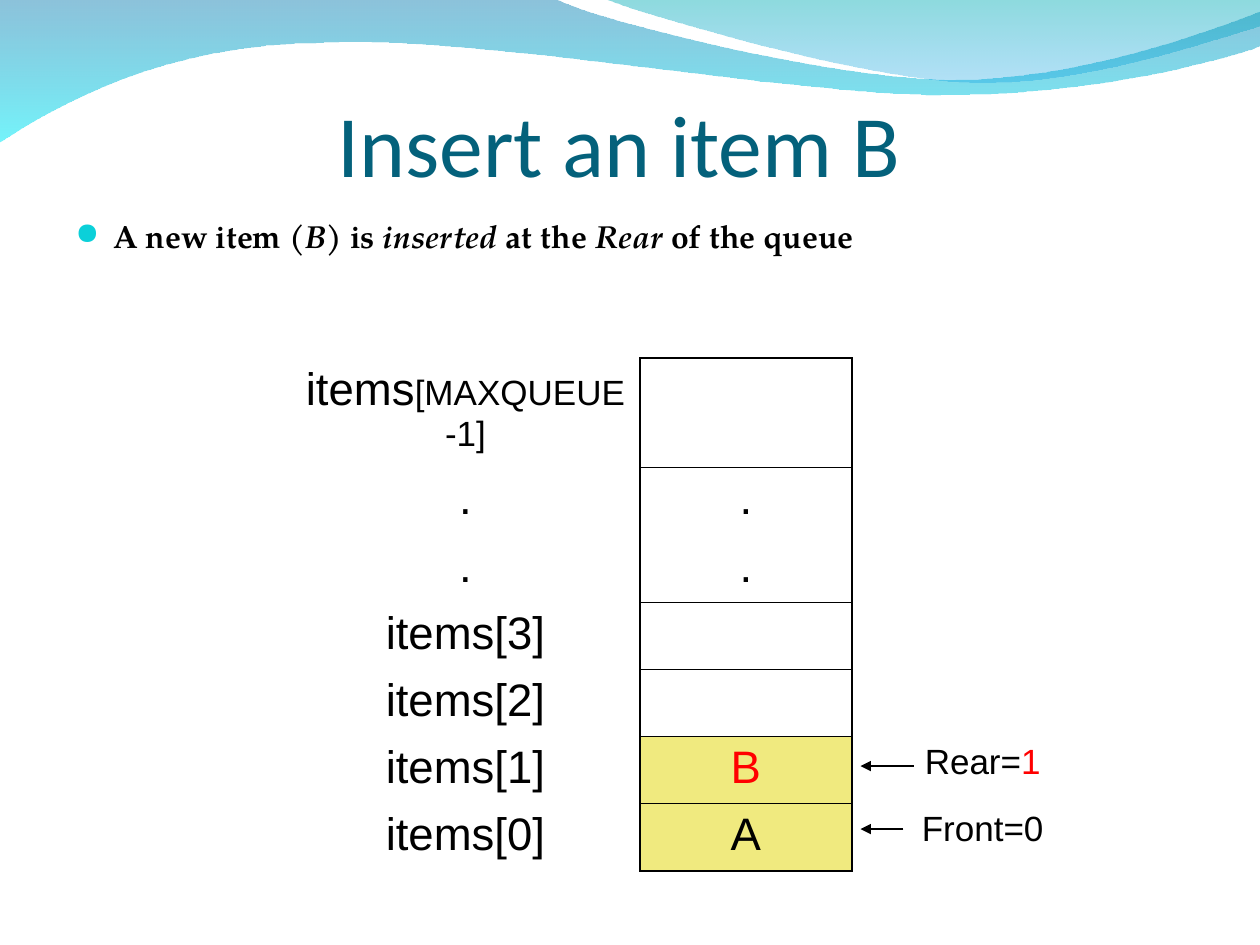
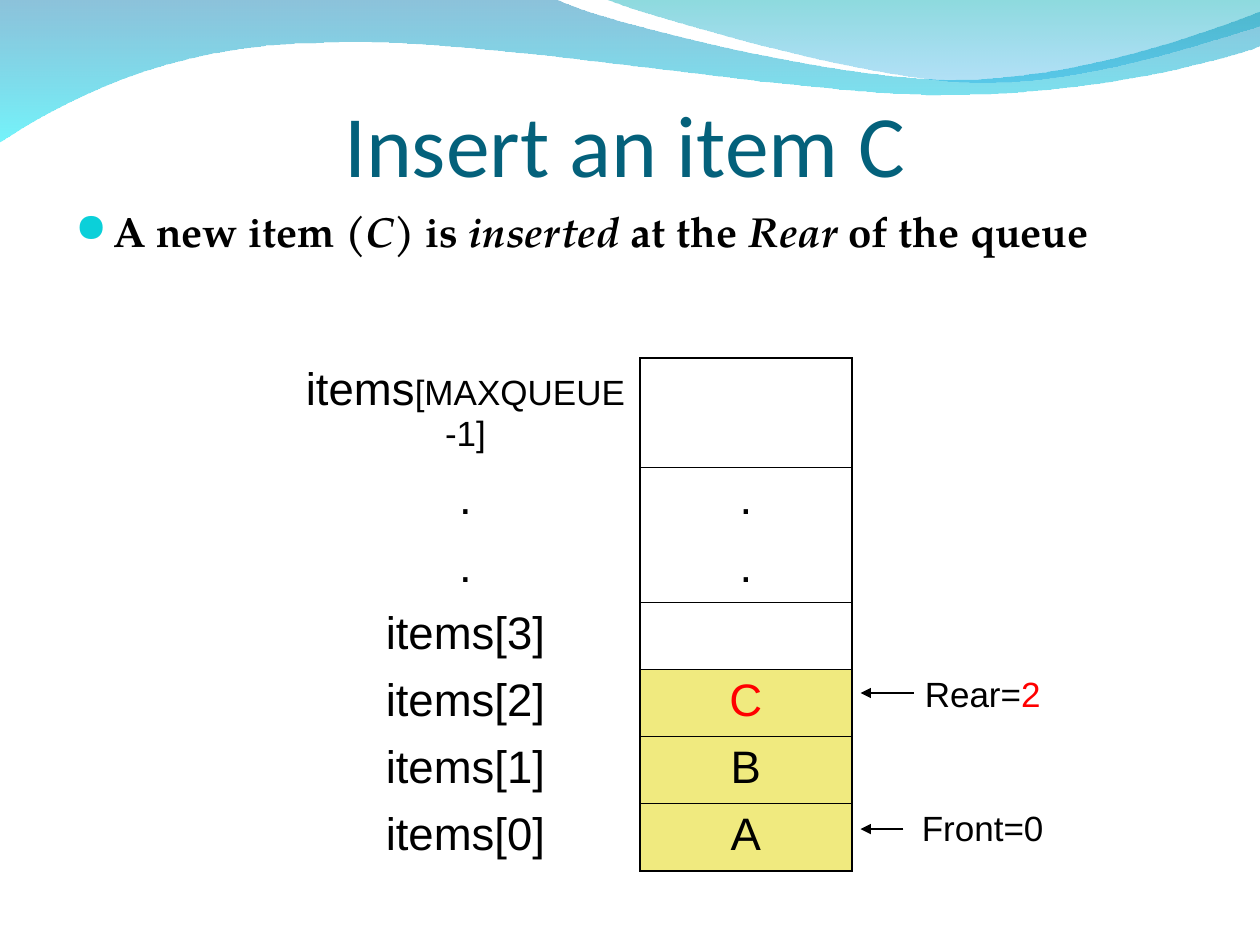
from lxml import etree
from pptx import Presentation
from pptx.dml.color import RGBColor
from pptx.enum.shapes import MSO_CONNECTOR
from pptx.enum.text import MSO_ANCHOR, PP_ALIGN
from pptx.oxml.ns import qn
from pptx.util import Inches, Pt

CENTER = PP_ALIGN.CENTER
BOTTOM = MSO_ANCHOR.BOTTOM
STRAIGHT = MSO_CONNECTOR.STRAIGHT

BLACK, RED, TITLE, BULLET, FILLED = "000000", "FF0000", "04617B", "0BD0D9", "E2D700"
PLAIN_TABLE = "{2D5ABB26-0587-4C30-8999-92F81FD0307C}"
THICK, THIN = 1.08, 0.45

# Each wave: start point, then lines (one point) and Bezier curves (three points)
WIDE_WAVE = [
    (0, -0.01),
    [(4.4, -0.01)],
    [(4.76, 0.17), (6.64, 0.63), (7.58, 0.63)],
    [(8.53, 0.63), (9.58, 0.26), (10, 0.09)],
    [(10.01, 0.36)],
    [(9.83, 0.44), (8.7, 0.76), (7.46, 0.75)],
    [(6.22, 0.75), (3.82, 0.28), (2.57, 0.34)],
    [(1.29, 0.35), (0.46, 0.83), (-0.01, 1.13)],
    [(0, -0.01)],
]
RIGHT_WAVE = [
    (4.79, -0.01),
    [(5.09, 0.11), (6.82, 0.62), (7.69, 0.65)],
    [(8.56, 0.69), (9.61, 0.32), (10, 0.21)],
    [(10, 0)],
    [(4.79, -0.01)],
]

LABELS = ["items", ".", "."] + [f"items[{i}]" for i in (3, 2, 1, 0)]
COLUMNS = [2.77, 1.68, 2.08]
TABLE_TOP, TABLE_HEIGHT, FIRST_ROW = 2.84, 4.07, 0.87
ROW = (TABLE_HEIGHT - FIRST_ROW) / (len(LABELS) - 1)


def rgb(value):
    return RGBColor.from_string(value)


def add_xml(parent, tag, **attrs):
    return etree.SubElement(parent, qn(tag), attrs)


def set_alpha(color, percent):
    add_xml(color, "a:alpha", val=str(percent * 1000))


def style_font(font, size, color=BLACK, name="Arial"):
    font.size = Pt(size)
    font.name = name
    font.color.rgb = rgb(color)


def bend_lines(sp, segments):
    """Turn each run of three lines that stands for a curve into one Bezier."""
    lines = iter(list(sp._element.iter(qn("a:lnTo"))))
    for segment in segments:
        first, *others = [next(lines) for _ in segment]
        if others:
            first.addprevious(curve := etree.Element(qn("a:cubicBezTo")))
            for line in (first, *others):
                curve.append(line[0])
                line.getparent().remove(line)


def add_wave(slide, wave, stops):
    """Draw a wave with a downward gradient and put it on the slide's layout."""
    start, *segments = wave
    builder = slide.shapes.build_freeform(Inches(start[0]), Inches(start[1]))
    points = [(Inches(x), Inches(y)) for segment in segments for x, y in segment]
    builder.add_line_segments(points, close=True)
    sp = builder.convert_to_shape()
    bend_lines(sp, segments)
    sp.shadow.inherit = False
    sp.line.fill.background()
    sp.fill.gradient()
    sp.fill.gradient_angle = 270
    for stop, (color, _) in zip(sp.fill.gradient_stops, stops):
        stop.color.rgb = rgb(color)
    for color, (_, alpha) in zip(sp._element.iter(qn("a:srgbClr")), stops):
        set_alpha(color, alpha)
    slide.slide_layout.shapes._spTree.append(sp._element)


def add_box(slide, left, top, width, height):
    box = slide.shapes.add_textbox(Inches(left), Inches(top), Inches(width), Inches(height))
    box.text_frame.word_wrap = True
    return box.text_frame


def add_title(slide, text, width):
    tf = add_box(slide, 0.5, 0.42, width, 1.13)
    tf.vertical_anchor = BOTTOM
    tf.margin_left = tf.margin_right = tf.margin_bottom = 0
    p = tf.paragraphs[0]
    p.text = text
    p.alignment = CENTER
    style_font(p.font, 50, TITLE, "Calibri")


def add_statement(slide, item, top, height, size):
    """Add the bulleted sentence, with every second part in italics."""
    p = add_box(slide, 0.5, top, 9.17, height).paragraphs[0]
    p.space_before = Pt(6.5)
    pPr = p._p.get_or_add_pPr()
    pPr.set("marL", str(Inches(0.3)))
    pPr.set("indent", str(Inches(-0.3)))
    add_xml(add_xml(pPr, "a:buClr"), "a:srgbClr", val=BULLET)
    add_xml(pPr, "a:buSzPct", val="95000")
    add_xml(pPr, "a:buFont", typeface="OpenSymbol")
    add_xml(pPr, "a:buChar", char="●")
    style_font(p.font, size, name="TeX Gyre Pagella")
    p.font.bold = True
    parts = ["A new item (", item, ") is ", "inserted ", "at the ", "Rear ", "of the queue"]
    for i, part in enumerate(parts):
        r = p.add_run()
        r.text = part
        r.font.italic = i % 2 == 1


def add_border(cell, side, width):
    """Add a black border, or an explicitly empty one when width is 0."""
    ln = add_xml(cell._tc.get_or_add_tcPr(), f"a:ln{side}", w=str(Pt(width)))
    if width:
        add_xml(add_xml(ln, "a:solidFill"), "a:srgbClr", val=BLACK)
    else:
        add_xml(ln, "a:noFill")


def write_cell(cell, text, size=26, color=BLACK):
    p = cell.text_frame.paragraphs[0]
    p.text = text
    p.alignment = CENTER
    p.space_before = Pt(size / 4)
    style_font(p.font, size, color)
    return p


def add_queue(slide, queue):
    """Add the array as a table: index labels, slots, and Front and Rear."""
    count, rear = len(LABELS), len(queue) - 1
    frame = slide.shapes.add_table(count, len(COLUMNS), Inches(2.31), Inches(TABLE_TOP),
                                   Inches(sum(COLUMNS)), Inches(TABLE_HEIGHT))
    table = frame.table
    table.first_row = table.horz_banding = False
    table._tbl.tblPr.find(qn("a:tableStyleId")).text = PLAIN_TABLE
    for column, width in zip(table.columns, COLUMNS):
        column.width = Inches(width)

    # Borders between slots from top to bottom; the two dots share one open slot
    rules = [THICK, THIN, 0] + [THIN] * (count - 3) + [THICK]
    for row, label in enumerate(LABELS):
        table.rows[row].height = Inches(ROW if row else FIRST_ROW)
        name, slot, pointer = (table.cell(row, c) for c in range(3))
        write_cell(name, label)
        add_border(pointer, "L", THICK)
        for side, width in zip("LRTB", (THICK, THICK, rules[row], rules[row + 1])):
            add_border(slot, side, width)

        index = count - 1 - row
        if index <= rear:
            write_cell(slot, queue[index], color=RED if index == rear else BLACK)
            slot.fill.solid()
            slot.fill.fore_color.rgb = rgb(FILLED)
            set_alpha(slot._tc.tcPr.find(qn("a:solidFill"))[0], 50)
        elif label == ".":
            write_cell(slot, label)

    first = table.cell(0, 0).text_frame.paragraphs[0]
    first.space_before = Pt(5)
    r = first.add_run()
    r.text = "[MAXQUEUE-1]"
    r.font.size = Pt(20)
    write_cell(table.cell(count - 1, 2), "Front=0", 20)
    r = write_cell(table.cell(count - 1 - rear, 2), "Rear=", 20).add_run()
    r.text = str(rear)
    r.font.color.rgb = rgb(RED)


def add_arrow(slide, start, y):
    """Add an arrow that points left at a slot of the queue."""
    line = slide.shapes.add_connector(STRAIGHT, Inches(start), Inches(y), Inches(6.83), Inches(y))
    line.line.color.rgb = rgb(BLACK)
    line.line.width = Pt(0.75)
    add_xml(line.line._get_or_add_ln(), "a:tailEnd", type="triangle")
    add_xml(line._element.spPr, "a:effectLst")


def add_insert_slide(prs, queue, title_width, statement, rear_y):
    slide = prs.slides.add_slide(prs.slide_layouts[6])
    add_title(slide, f"Insert an item {queue[-1]}", title_width)
    add_statement(slide, queue[-1], *statement)
    add_queue(slide, queue)
    add_arrow(slide, 7.17, 6.58)
    add_arrow(slide, 7.25, rear_y)
    return slide


def main():
    prs = Presentation()
    prs.slide_width, prs.slide_height = Inches(10), Inches(7.5)
    slide = add_insert_slide(prs, "AB", 8.83, (1.67, 0.75, 18.2), 6.08)
    add_wave(slide, WIDE_WAVE, [("0079AF", 45), ("00EBF8", 55)])
    add_wave(slide, RIGHT_WAVE, [("00ADB6", 45), ("009BE5", 30)])
    add_insert_slide(prs, "ABC", 8.92, (1.58, 0.92, 24), 5.5)
    prs.save("out.pptx")


if __name__ == "__main__":
    main()
